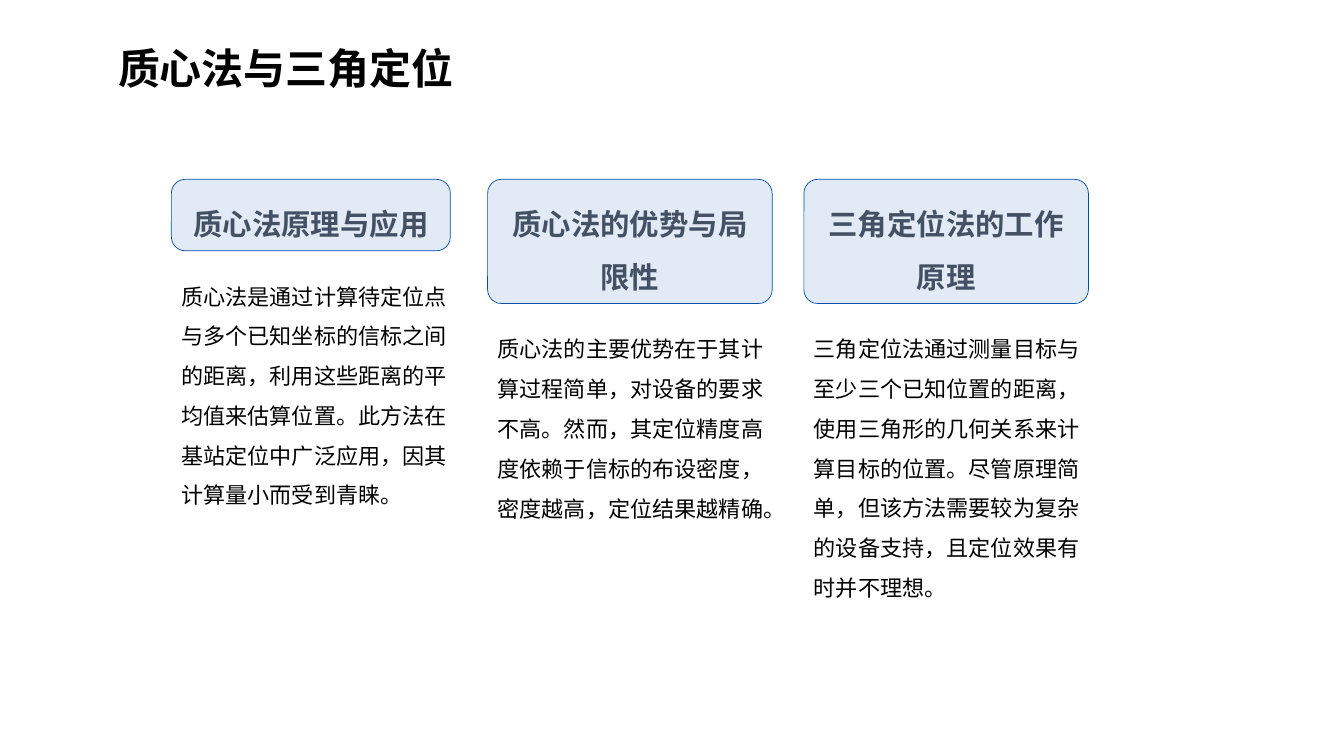
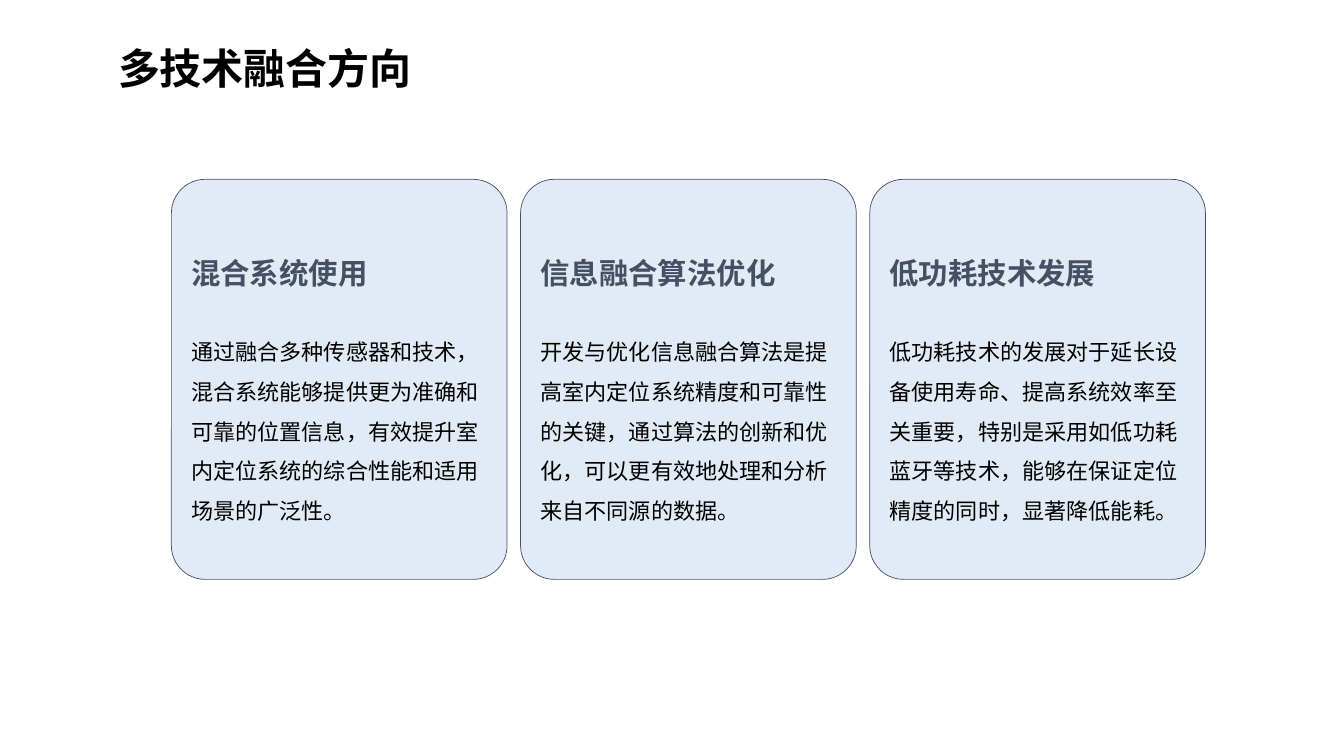
import pptx
import pptx.util
import pptx.dml.color
import pptx.enum.shapes
import pptx.enum.text
import pptx.oxml.ns
import lxml.etree

Cm = pptx.util.Cm
Pt = pptx.util.Pt
Align = pptx.enum.text.PP_ALIGN
Anchor = pptx.enum.text.MSO_ANCHOR

FONT = "Noto Sans CJK SC"
BLACK = "000000"
SLATE = "445164"
BLUE = "0050AF"
PALE_BLUE = "E1EAF5"

TITLE_SIZE, HEADING_SIZE, BODY_SIZE = 30, 21, 15.8
LINE_SPACING = 1.5

CONTENT_LEFT, CONTENT_TOP = 4.32, 4.52

# Heading, its width and line count, body, its line count
METHODS = [
    ("质心法原理与应用", 7.03, 1,
     "质心法是通过计算待定位点与多个已知坐标的信标之间的距离，利用这些距离的平均值来估算位置。"
     "此方法在基站定位中广泛应用，因其计算量小而受到青睐。", 6),
    ("质心法的优势与局限性", 7.17, 2,
     "质心法的主要优势在于其计算过程简单，对设备的要求不高。"
     "然而，其定位精度高度依赖于信标的布设密度，密度越高，定位结果越精确。", 5),
    ("三角定位法的工作原理", 7.17, 2,
     "三角定位法通过测量目标与至少三个已知位置的距离，使用三角形的几何关系来计算目标的位置。"
     "尽管原理简单，但该方法需要较为复杂的设备支持，且定位效果有时并不理想。", 7),
]

DIRECTIONS = [
    ("混合系统使用",
     "通过融合多种传感器和技术，混合系统能够提供更为准确和可靠的位置信息，"
     "有效提升室内定位系统的综合性能和适用场景的广泛性。"),
    ("信息融合算法优化",
     "开发与优化信息融合算法是提高室内定位系统精度和可靠性的关键，"
     "通过算法的创新和优化，可以更有效地处理和分析来自不同源的数据。"),
    ("低功耗技术发展",
     "低功耗技术的发展对于延长设备使用寿命、提高系统效率至关重要，"
     "特别是采用如低功耗蓝牙等技术，能够在保证定位精度的同时，显著降低能耗。"),
]


def color(value):
    return pptx.dml.color.RGBColor.from_string(value)


class Composer:
    """Holds the deck, its text style and the slide being filled."""

    def __init__(self):
        self.deck = pptx.Presentation()
        self.deck.slide_width = Cm(33.87)
        self.deck.slide_height = Cm(19.05)
        self.slide = None

    def set_text(self, paragraph, text, size, shade=BLACK, bold=False,
                 align=Align.LEFT, spacing=LINE_SPACING):
        paragraph.text = text
        paragraph.alignment = align
        paragraph.line_spacing = spacing
        font = paragraph.font
        font.name = FONT
        font.size = Pt(size)
        font.bold = bold
        font.color.rgb = color(shade)
        # Chinese text takes its typeface from the East Asian font
        qn = pptx.oxml.ns.qn
        properties = paragraph._p.pPr.find(qn("a:defRPr"))
        lxml.etree.SubElement(properties, qn("a:ea")).set("typeface", FONT)

    def frame(self, shape, anchor=Anchor.MIDDLE):
        frame = shape.text_frame
        frame.word_wrap = True
        frame.auto_size = pptx.enum.text.MSO_AUTO_SIZE.NONE
        frame.vertical_anchor = anchor
        return frame

    def start_slide(self, text):
        self.slide = self.deck.slides.add_slide(self.deck.slide_layouts[5])
        title = self.slide.shapes.title
        title.left, title.top = Cm(2.72), Cm(0.3)
        title.width, title.height = Cm(26.04), Cm(2.16)
        self.set_text(self.frame(title).paragraphs[0], text, TITLE_SIZE, bold=True)

    def panel(self, left, top, width, height, radius, outline):
        panel = self.slide.shapes.add_shape(
            pptx.enum.shapes.MSO_SHAPE.ROUNDED_RECTANGLE,
            Cm(left), Cm(top), Cm(width), Cm(height))
        panel.adjustments[0] = radius / min(width, height)
        panel.shadow.inherit = False
        panel.fill.solid()
        panel.fill.fore_color.rgb = color(PALE_BLUE)
        panel.line.color.rgb = color(outline)
        panel.line.width = Pt(0.5)
        return panel

    def label(self, left, top, width, height, text):
        panel = self.panel(left, top, width, height, 0.35, BLUE)
        self.set_text(self.frame(panel).paragraphs[0], text, HEADING_SIZE, SLATE,
                      bold=True, align=Align.CENTER)

    def body(self, left, top, width, height, text):
        box = self.slide.shapes.add_textbox(Cm(left), Cm(top), Cm(width), Cm(height))
        self.set_text(self.frame(box).paragraphs[0], text, BODY_SIZE)

    def card(self, left, top, width, height, heading, text):
        panel = self.panel(left, top, width, height, 0.85, SLATE)
        frame = self.frame(panel, Anchor.TOP)
        frame.margin_top = Cm(1.66)
        self.set_text(frame.paragraphs[0], heading, HEADING_SIZE, SLATE,
                      bold=True, spacing=1.0)
        paragraph = frame.add_paragraph()
        paragraph.space_before = Pt(25)
        self.set_text(paragraph, text, BODY_SIZE)


def build_methods(composer):
    composer.start_slide("质心法与三角定位")
    for index, (heading, width, heading_lines, text, text_lines) in enumerate(METHODS):
        left = CONTENT_LEFT + 7.97 * index
        label_height = 0.47 + 1.33 * heading_lines
        composer.body(left, CONTENT_TOP + label_height + 0.36,
                      7.62, 0.25 + text_lines, text)
        composer.label(left, CONTENT_TOP, width, label_height, heading)


def build_directions(composer):
    composer.start_slide("多技术融合方向")
    for index, (heading, text) in enumerate(DIRECTIONS):
        composer.card(CONTENT_LEFT + 8.8 * index, CONTENT_TOP, 8.46, 10.08,
                      heading, text)


def main():
    composer = Composer()
    build_methods(composer)
    build_directions(composer)
    composer.deck.save("out.pptx")


if __name__ == "__main__":
    main()
